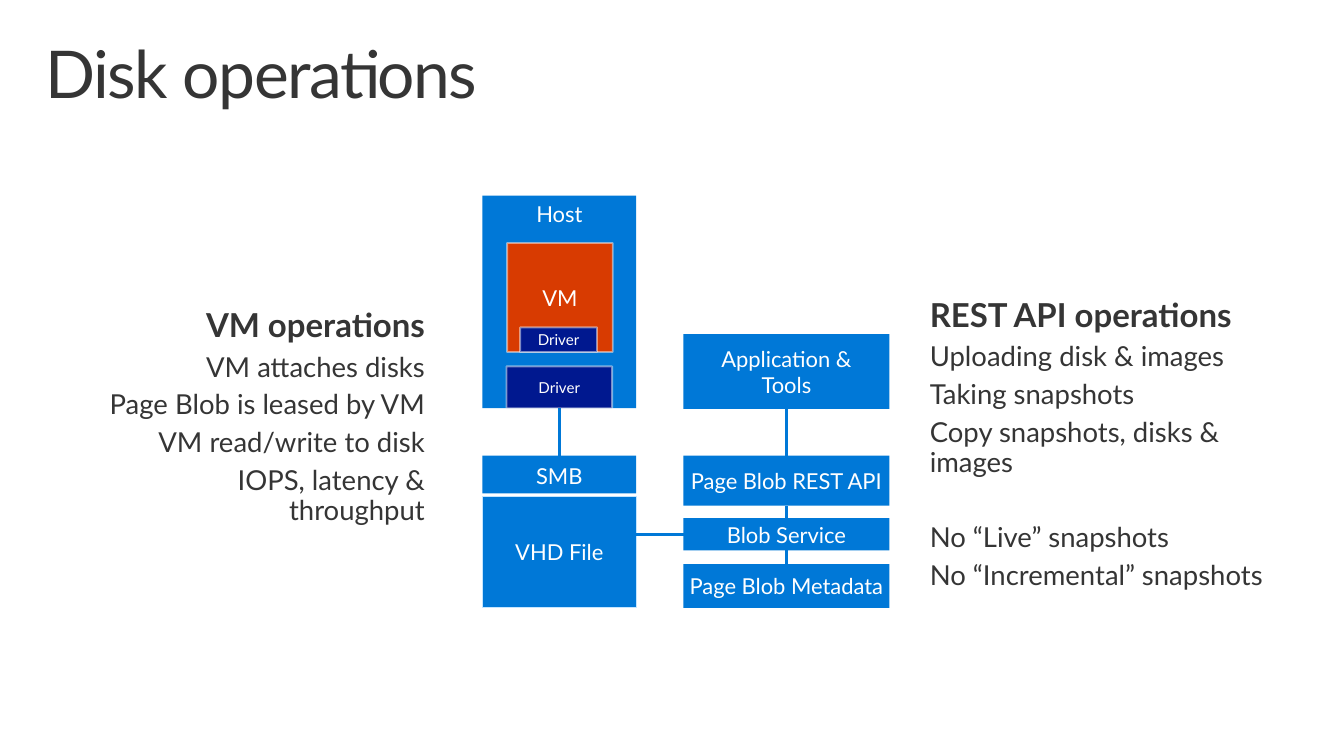
from lxml import etree
from pptx import Presentation
from pptx.dml.color import RGBColor
from pptx.enum import shapes, text
from pptx.oxml.ns import qn
from pptx.util import Pt

COLORS = {"ink": "353535", "white": "FFFFFF", "blue": "0078D7", "navy": "00188F",
          "orange": "D83B01", "outline": "F9F9F9", "pale": "C4E5FF"}
FONT = "Lato"
TITLE = "Disk operations"

HOST_X, HOST_W = 351.5, 112
API_X, API_W = 498, 150
TOP, MIDDLE, BOTTOM = text.MSO_ANCHOR.TOP, text.MSO_ANCHOR.MIDDLE, text.MSO_ANCHOR.BOTTOM
LEFT, CENTER, RIGHT = text.PP_ALIGN.LEFT, text.PP_ALIGN.CENTER, text.PP_ALIGN.RIGHT
SOFT = ("outline", 1.35, 50)
EDGE = ("pale", 0.85, 100)

BOXES = {
    "smb": (["SMB"], HOST_X, 332, HOST_W, 27.5, "blue", None, 16, BOTTOM),
    "host": (["Host"], HOST_X, 142.5, HOST_W, 155, "blue", None, 16, TOP),
    "vm": (["VM"], 369.5, 177, 77, 79.5, "orange", SOFT, 16, MIDDLE),
    "vhd": (["VHD File"], HOST_X, 362, HOST_W, 80.5, "blue", EDGE, 16, MIDDLE),
    "host driver": (["Driver"], 369, 267, 77, 30.5, "navy", SOFT, 11, MIDDLE),
    "vm driver": (["Driver"], 379, 238.5, 56, 18, "navy", SOFT, 11, MIDDLE),
    "tools": (["Application &", "Tools"], API_X, 243.5, API_W, 54.5, "blue", None, 16, MIDDLE),
    "rest": (["Page Blob REST API"], API_X, 332, API_W, 36.5, "blue", None, 16, MIDDLE),
    "service": (["Blob Service"], API_X, 377.5, API_W, 23.5, "blue", None, 16, MIDDLE),
    "metadata": (["Page Blob Metadata"], API_X, 411, API_W, 32, "blue", None, 16, MIDDLE),
}
DOWN_LINKS = [("host", "smb"), ("tools", "rest"), ("rest", "service"), ("service", "metadata")]

NOTES = [
    ("REST API operations",
     [("Uploading disk & images", 0), ("Taking snapshots", 0),
      ("Copy snapshots, disks & images", 0), ("No “Live” snapshots", 27.5),
      ("No “Incremental” snapshots", 0)],
     (663, 206.5, 300, 217), LEFT),
    ("VM operations",
     [("VM attaches disks", 0), ("Page Blob is leased by VM", 0),
      ("VM read/write to disk", 0), ("IOPS, latency & throughput", 0)],
     (62, 214, 262, 221), RIGHT),
]


def rgb(name):
    return RGBColor.from_string(COLORS[name])


def set_frame(tf, side, end, anchor):
    tf.word_wrap = True
    tf.vertical_anchor = anchor
    tf.margin_left = tf.margin_right = Pt(side)
    tf.margin_top = tf.margin_bottom = Pt(end)


def add_lines(tf, lines, color, align):
    for i, (words, size, bold, before) in enumerate(lines):
        p = tf.paragraphs[0] if i == 0 else tf.add_paragraph()
        p.text = words
        p.alignment = align
        if before:
            p.space_before = Pt(before)
        p.font.name, p.font.size, p.font.bold = FONT, Pt(size), bold
        p.font.color.rgb = rgb(color)


def add_box(slide, lines, x, y, w, h, fill, line, size, anchor):
    sp = slide.shapes.add_shape(shapes.MSO_SHAPE.RECTANGLE, Pt(x), Pt(y), Pt(w), Pt(h))
    sp.shadow.inherit = False
    sp.fill.solid()
    sp.fill.fore_color.rgb = rgb(fill)
    if line:
        color, width, opacity = line
        sp.line.color.rgb = rgb(color)
        sp.line.width = Pt(width)
        if opacity < 100:
            clr = sp.line._ln.find(".//" + qn("a:srgbClr"))
            etree.SubElement(clr, qn("a:alpha")).set("val", str(opacity * 1000))
    else:
        sp.line.fill.background()
    set_frame(sp.text_frame, 0, 3.6, anchor)
    add_lines(sp.text_frame, [(words, size, False, 0) for words in lines], "white", CENTER)


def add_link(slide, x1, y1, x2, y2):
    cx = slide.shapes.add_connector(shapes.MSO_CONNECTOR.STRAIGHT, Pt(x1), Pt(y1), Pt(x2), Pt(y2))
    cx.line.color.rgb = rgb("blue")
    cx.line.width = Pt(2.25)
    etree.SubElement(cx._element.spPr, qn("a:effectLst"))


def add_text(slide, lines, place, side, end, align):
    tf = slide.shapes.add_textbox(*map(Pt, place)).text_frame
    set_frame(tf, side, end, TOP)
    add_lines(tf, lines, "ink", align)
    for p in tf.paragraphs:
        p.line_spacing = 0.9
    return tf


def main():
    prs = Presentation()
    prs.slide_width, prs.slide_height = Pt(979.2), Pt(550.8)
    slide = prs.slides.add_slide(prs.slide_layouts[6])

    tf = add_text(slide, [(TITLE, 48, False, 0)], (21.5, 23, 936, 72), 11.5, 7.2, LEFT)
    tf.paragraphs[0].runs[0]._r.get_or_add_rPr().set("spc", "-100")

    for box in BOXES.values():
        add_box(slide, *box)
    for upper, lower in DOWN_LINKS:
        _, x, y, w, h = BOXES[upper][:5]
        add_link(slide, x + w / 2, y + h, x + w / 2, BOXES[lower][2])
    _, _, y, _, h = BOXES["service"][:5]
    add_link(slide, HOST_X + HOST_W, y + h / 2, API_X, y + h / 2)

    for heading, items, place, align in NOTES:
        lines = [(heading, 24, True, 0)] + [(words, 20, False, gap) for words, gap in items]
        tf = add_text(slide, lines, place, 14.4, 11.5, align)
        for p in tf.paragraphs:
            p.space_after = Pt(6)

    prs.save("out.pptx")


if __name__ == "__main__":
    main()
